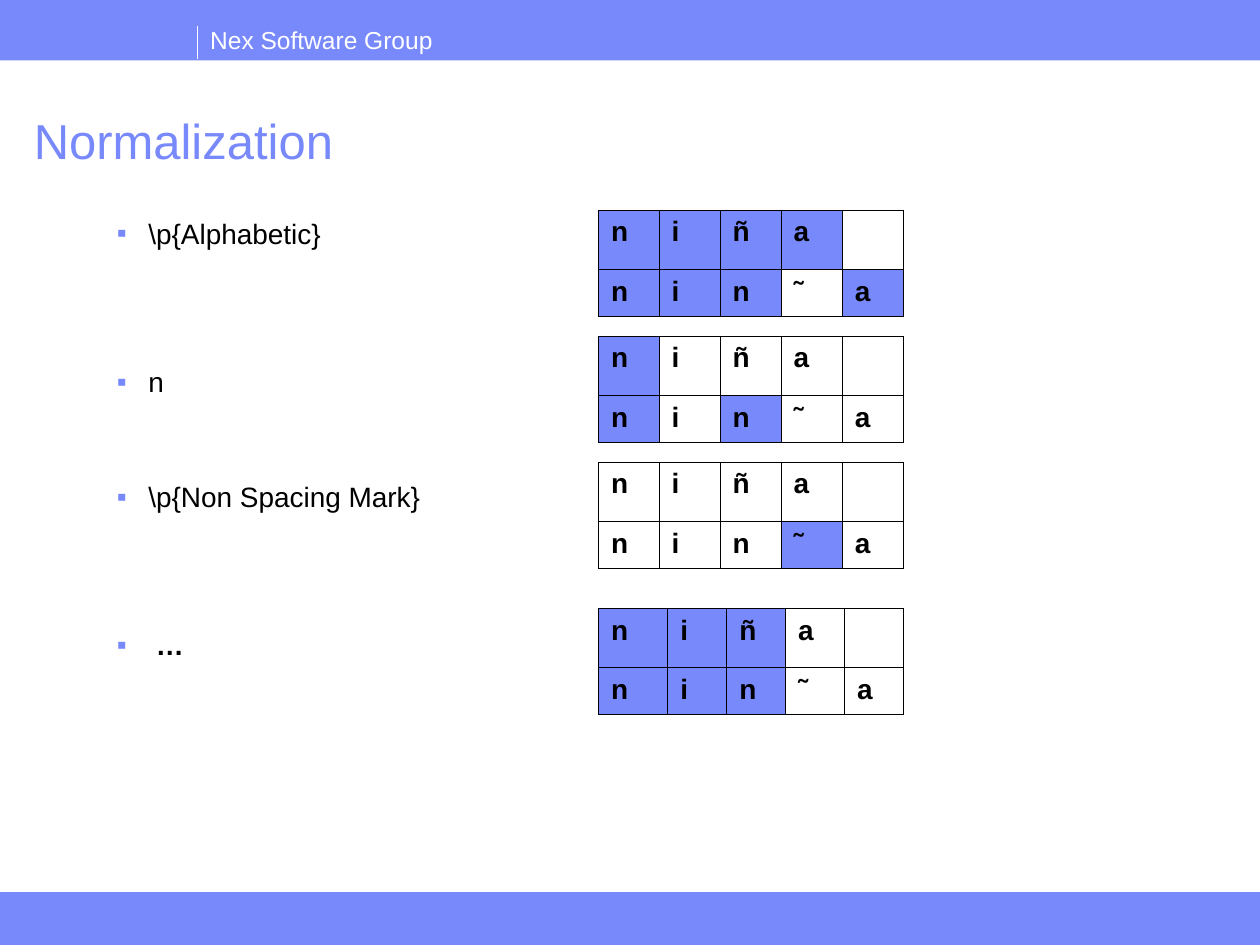
from lxml.etree import SubElement
from pptx import Presentation
from pptx.dml.color import RGBColor
from pptx.enum.shapes import MSO_CONNECTOR, MSO_SHAPE
from pptx.enum.text import MSO_ANCHOR
from pptx.oxml.ns import qn
from pptx.util import Inches, Pt

BLUE, BLACK, WHITE = "7889FB", "000000", "FFFFFF"


def rgb(value):
    return RGBColor.from_string(value)


class SlideBuilder:
    font = "Arial"

    def __init__(self, slide):
        self.slide = slide

    def style(self, p, size, color, bold=False):
        for r in p.runs:
            r.font.name, r.font.size, r.font.bold = self.font, Pt(size), bold
            r.font.color.rgb = rgb(color)

    def band(self, top, height):
        sp = self.slide.shapes.add_shape(
            MSO_SHAPE.RECTANGLE, 0, Inches(top), Inches(10), Inches(height))
        sp.shadow.inherit = False
        sp.fill.solid()
        sp.fill.fore_color.rgb = rgb(BLUE)
        sp.line.fill.background()

    def divider(self, x, top, bottom):
        line = self.slide.shapes.add_connector(
            MSO_CONNECTOR.STRAIGHT, Inches(x), Inches(top), Inches(x), Inches(bottom))
        line.line.color.rgb = rgb(WHITE)
        line.line.width = Pt(0.75)
        SubElement(line._element.spPr, qn("a:effectLst"))

    def text_box(self, box):
        tf = self.slide.shapes.add_textbox(*map(Inches, box)).text_frame
        tf.word_wrap = True
        return tf

    def label(self, text, box, size, color, spacing=1.0):
        tf = self.text_box(box)
        tf.vertical_anchor = MSO_ANCHOR.BOTTOM
        p = tf.paragraphs[0]
        p.text = text
        p.line_spacing = spacing
        self.style(p, size, color)

    def bullets(self, items, box, size):
        """Each item is text, space before in points, indent in inches, bold."""
        tf = self.text_box(box)
        for i, (text, before, indent, bold) in enumerate(items):
            p = tf.add_paragraph() if i else tf.paragraphs[0]
            p.text = text
            pPr = p._p.get_or_add_pPr()
            pPr.set("marL", str(Inches(indent)))
            pPr.set("indent", str(-Inches(indent)))
            SubElement(SubElement(pPr, qn("a:buClr")), qn("a:srgbClr"), val=BLUE)
            SubElement(pPr, qn("a:buFont"), typeface=self.font)
            SubElement(pPr, qn("a:buChar"), char="▪")
            if before:
                p.space_before = Pt(before)
            self.style(p, size, BLACK, bold)

    def cell(self, cell, text, marked):
        cell.text = text
        self.style(cell.text_frame.paragraphs[0], 16, BLACK, bold=True)
        cell.margin_left = cell.margin_right = Inches(0.1)
        cell.margin_top = cell.margin_bottom = Inches(0.05)
        tcPr = cell._tc.get_or_add_tcPr()
        for side in ("lnL", "lnR", "lnT", "lnB"):
            ln = SubElement(tcPr, qn(f"a:{side}"), w=str(Pt(0.45)))
            SubElement(SubElement(ln, qn("a:solidFill")), qn("a:srgbClr"), val=BLACK)
        if marked:
            cell.fill.solid()
            cell.fill.fore_color.rgb = rgb(BLUE)
        else:
            cell.fill.background()

    def letter_table(self, rows, marks, top, first_width, left=4.75, width=2.42):
        """In marks, x is a highlighted cell."""
        heights = (0.47, 0.37)
        table = self.slide.shapes.add_table(
            len(rows), len(rows[0]), Inches(left), Inches(top),
            Inches(width), Inches(sum(heights))).table
        table.first_row = table.horz_banding = False
        rest = (width - first_width) / (len(rows[0]) - 1)
        for c, column in enumerate(table.columns):
            column.width = Inches(rest if c else first_width)
        for r, (letters, flags) in enumerate(zip(rows, marks)):
            table.rows[r].height = Inches(heights[r])
            for c, (letter, flag) in enumerate(zip(letters, flags)):
                self.cell(table.cell(r, c), letter.strip(), flag == "x")


def main():
    prs = Presentation()
    prs.slide_width, prs.slide_height = Inches(10), Inches(7.5)
    s = SlideBuilder(prs.slides.add_slide(prs.slide_layouts[6]))

    s.band(0, 0.48)
    s.band(7.08, 0.42)
    s.label("Nex Software Group", (1.57, 0.14, 2.4, 0.34), 14, WHITE)
    s.divider(1.57, 0.21, 0.47)
    s.label("Normalization", (0.17, 0.88, 9.26, 0.52), 28, BLUE, spacing=0.9)

    s.bullets([
        ("\\p{Alphabetic}", 0, 0.25, False),
        ("n", 65.5, 0.25, False),
        ("\\p{Non Spacing Mark}", 46.5, 0.25, False),
        ("…", 65.5, 0.31, True),
    ], (0.83, 1.67, 4.04, 5.11), 16)

    spellings = ("niña ", "nin˜a")
    for top, first_width, marks in (
        (1.67, 0.48, ("xxxx.", "xxx.x")),
        (2.67, 0.48, ("x....", "x.x..")),
        (3.67, 0.48, (".....", "...x.")),
        (4.83, 0.55, ("xxx..", "xxx..")),
    ):
        s.letter_table(spellings, marks, top, first_width)

    prs.save("out.pptx")


if __name__ == "__main__":
    main()
